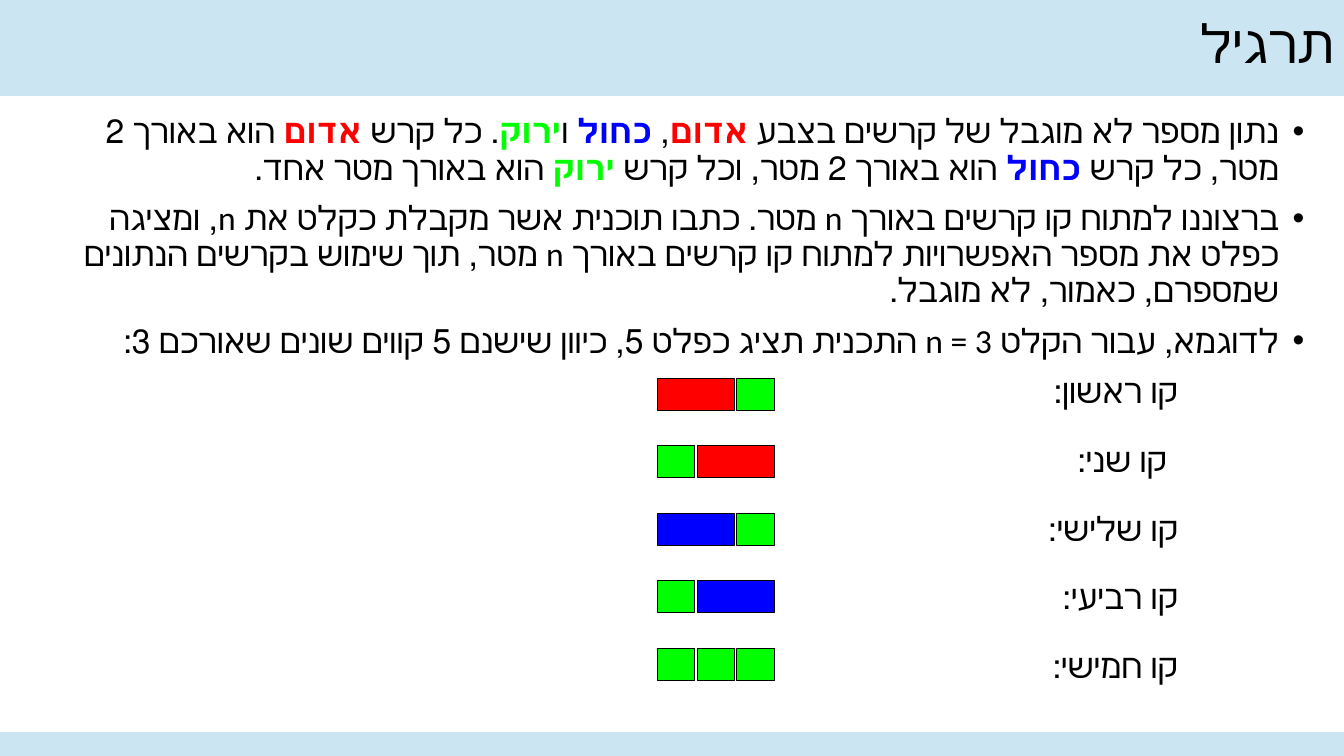
from pptx import Presentation
from pptx.dml.color import RGBColor
from pptx.enum.shapes import MSO_SHAPE
from pptx.enum.text import MSO_ANCHOR, PP_ALIGN
from pptx.oxml.ns import qn
from pptx.util import Cm, Pt
from lxml.etree import SubElement

COLORS = {"band": "CCE5F2", "text": "000000",
          "red": "FF0000", "blue": "0000FF", "green": "00FF00"}
COLOR_WORDS = {"אדום": "red", "כחול": "blue", "ירוק": "green"}
FONT = "Calibri"
WIDTH, HEIGHT = 33.87, 19.05

TITLE = "תרגיל"
# Bars set the colour words apart
BULLETS = [
    "נתון מספר לא מוגבל של קרשים בצבע |אדום|, |כחול| ו|ירוק|. כל קרש |אדום| הוא באורך 2 מטר, "
    "כל קרש |כחול| הוא באורך 2 מטר, וכל קרש |ירוק| הוא באורך מטר אחד.",
    "ברצוננו למתוח קו קרשים באורך n מטר. כתבו תוכנית אשר מקבלת כקלט את n, ומציגה כפלט את "
    "מספר האפשרויות למתוח קו קרשים באורך n מטר, תוך שימוש בקרשים הנתונים שמספרם, כאמור, "
    "לא מוגבל.",
    "לדוגמא, עבור הקלט n = 3 התכנית תציג כפלט 5, כיוון שישנם 5 קווים שונים שאורכם 3:",
]
# Label, its margin in cm, boards from left to right
LINES = [
    ("קו ראשון:", 3.18, ["red", "green"]),
    ("קו שני:", 3.46, ["green", "red"]),
    ("קו שלישי:", 3.18, ["blue", "green"]),
    ("קו רביעי:", 3.18, ["green", "blue"]),
    ("קו חמישי:", 3.18, ["green", "green", "green"]),
]
METRES = {"red": 2, "blue": 2, "green": 1}


def rgb(name):
    return RGBColor.from_string(COLORS[name])


def add_rect(s, box, fill, line, weight):
    sp = s.shapes.add_shape(MSO_SHAPE.RECTANGLE, *map(Cm, box))
    sp.shadow.inherit = False
    sp.fill.solid()
    sp.fill.fore_color.rgb = rgb(fill)
    sp.line.color.rgb = rgb(line)
    sp.line.width = Pt(weight)


def add_text_frame(s, box):
    tf = s.shapes.add_textbox(*map(Cm, box)).text_frame
    tf.word_wrap = True
    return tf


def write_paragraph(p, text, size, before=0, margin=0, bullet=False):
    """Fill a right-to-left paragraph, colouring the words set apart by bars."""
    p.alignment = PP_ALIGN.RIGHT
    p.line_spacing = 0.9
    p.space_before = Pt(before)
    pPr = p._p.get_or_add_pPr()
    pPr.set("rtl", "1")
    pPr.set("marL", str(Cm(margin)))
    pPr.set("indent", str(-Cm(margin) if bullet else 0))
    if bullet:
        SubElement(pPr, qn("a:buFont")).set("typeface", "Arial")
        SubElement(pPr, qn("a:buChar")).set("char", "•")
    for part in text.split("|"):
        r = p.add_run()
        r.text = part
        r.font.size = Pt(size)
        r.font.name = FONT
        r.font.bold = part in COLOR_WORDS
        r.font.color.rgb = rgb(COLOR_WORDS.get(part, "text"))


def add_bands(s, box):
    left, top, width, height = box
    header, footer = 2.41, 0.58
    add_rect(s, (left, top, width, header), "band", "band", 1)
    add_rect(s, (left, top + height - footer, width, footer), "band", "band", 1)


def add_title(s, box):
    tf = add_text_frame(s, box)
    tf.vertical_anchor = MSO_ANCHOR.MIDDLE
    write_paragraph(tf.paragraphs[0], TITLE, 38)


def add_body(s, box):
    tf = add_text_frame(s, box)
    for i, text in enumerate(BULLETS):
        p = tf.add_paragraph() if i else tf.paragraphs[0]
        write_paragraph(p, text, 24, before=10, margin=0.64, bullet=True)
    for i, (label, margin, _) in enumerate(LINES):
        write_paragraph(tf.add_paragraph(), label, 24, before=23.2 if i else 10, margin=margin)


def add_boards(s, box):
    """Draw each line of boards in its own row, one third of the width a metre."""
    left, top, width, height = box
    gap, board_height = 0.06, 0.81
    metre = width / 3
    pitch = (height - board_height) / (len(LINES) - 1)
    for row, (_, _, boards) in enumerate(LINES):
        x = left
        for color in boards:
            length = METRES[color] * metre
            add_rect(s, (x, top + row * pitch, length - gap, board_height),
                     color, "text", 0.75)
            x += length


def main():
    prs = Presentation()
    prs.slide_width, prs.slide_height = Cm(WIDTH), Cm(HEIGHT)
    s = prs.slides.add_slide(prs.slide_layouts[6])
    add_bands(s, (0, 0, WIDTH, HEIGHT))
    add_body(s, (1.29, 2.77, 31.83, 15.27))
    add_title(s, (2.87, -0.03, 31, 2.41))
    add_boards(s, (16.57, 9.53, 3, 7.62))
    prs.save("out.pptx")


if __name__ == "__main__":
    main()
